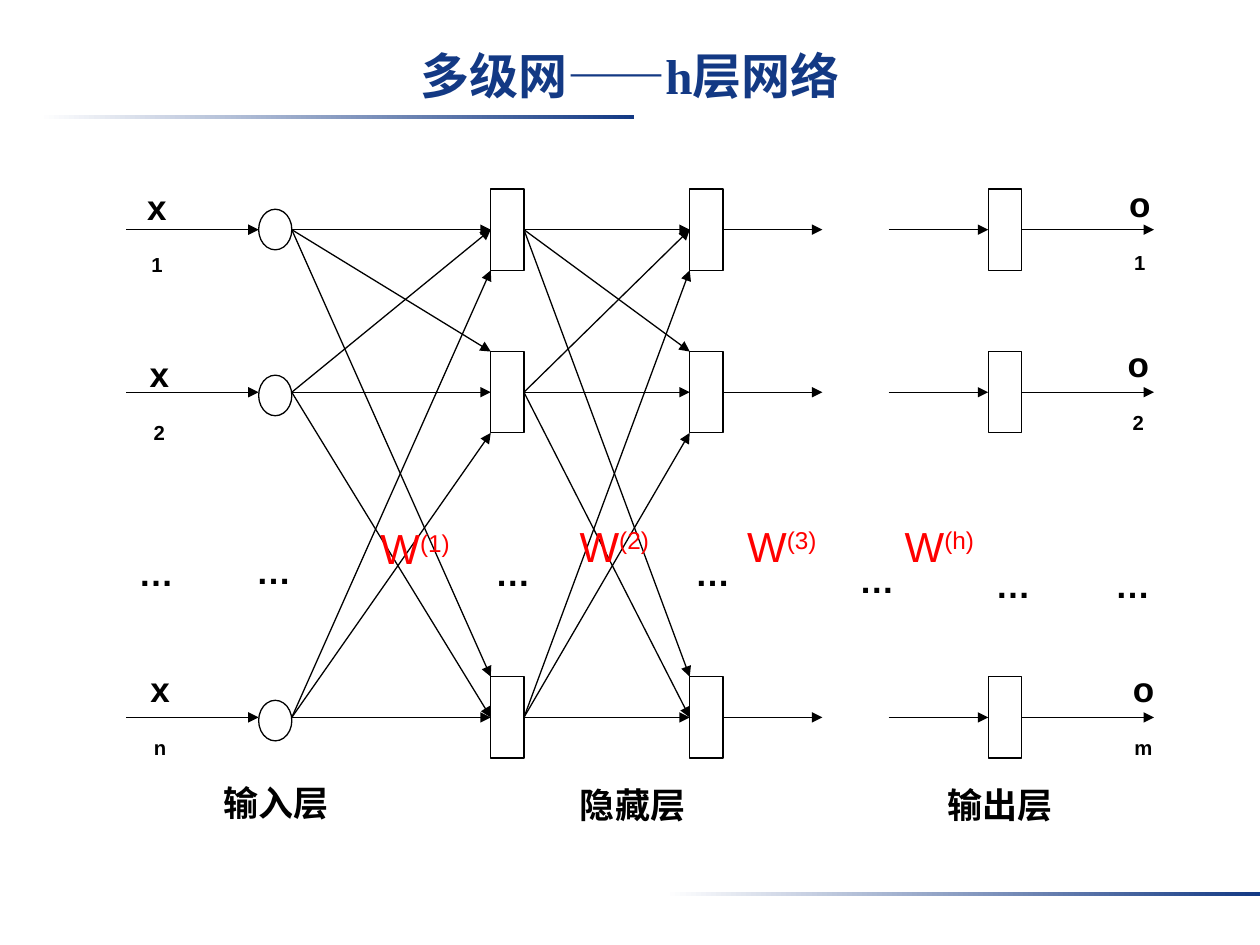
from dataclasses import dataclass
from typing import Optional

from lxml.etree import SubElement
from pptx import Presentation
from pptx.dml.color import RGBColor
from pptx.enum.shapes import MSO_CONNECTOR, MSO_SHAPE
from pptx.enum.text import MSO_ANCHOR, PP_ALIGN
from pptx.oxml.ns import qn
from pptx.util import Pt

NAVY = RGBColor(0x13, 0x39, 0x84)
WHITE = RGBColor(0xFF, 0xFF, 0xFF)
BLACK = RGBColor(0, 0, 0)
RED = RGBColor(0xFF, 0, 0)

# Diagram grid, in points
LEFT = 72
UNIT = 18.95
NODE_HEIGHT = 46.5
ROW_TOPS = [108 + 92.9 * step for step in (0, 1, 3)]
ROW_MIDS = [top + NODE_HEIGHT / 2 for top in ROW_TOPS]
LEFT_SIDE, RIGHT_SIDE = 1, 3


@dataclass(frozen=True)
class Label:
    text: str
    left: float
    top: float
    width: float
    script: str = ""


@dataclass(frozen=True)
class LabelStyle:
    size: float
    color: RGBColor
    bold: bool
    baseline: int
    height: float
    wrap: bool = False


LAYER_STYLE = LabelStyle(20, BLACK, True, 0, 31)
UNIT_STYLE = LabelStyle(20, BLACK, True, -30000, 31, wrap=True)
WEIGHT_STYLE = LabelStyle(24, RED, False, 30000, 29)

LAYERS = [
    Label("输入层", 120.2, 442.8, 75),
    Label("隐藏层", 324, 444.2, 75),
    Label("输出层", 534.2, 444.2, 75),
]
DOTS = [
    Label("…", left, top, 34.6)
    for left, top in [(72, 311.8), (139, 310.5), (275.8, 311.8), (390, 311.8),
                      (483.8, 315.4), (561.6, 318.2), (630, 318.2)]
]
UNITS = [
    Label("x", 74.2, 102.2, 31, "1"),
    Label("x", 75.6, 198, 31, "2"),
    Label("x", 75.6, 378, 31.7, "n"),
    Label("o", 635.8, 100.8, 31, "1"),
    Label("o", 635, 192.2, 31, "2"),
    Label("o", 635.8, 378, 35.3, "m"),
]
WEIGHTS = [
    Label("W", left, top, 54, f"({layer})")
    for layer, left, top in [("1", 210.2, 295.2), ("2", 324, 293.8),
                             ("3", 419.8, 293.8), ("h", 509.8, 293.8)]
]


def grid_x(column: int) -> float:
    return LEFT + column * UNIT


def add_title(slide, text: str) -> None:
    title = slide.shapes.title
    title.left, title.top, title.width, title.height = Pt(36), Pt(21.6), Pt(648), Pt(62.6)
    frame = title.text_frame
    frame.text = text
    frame.vertical_anchor = MSO_ANCHOR.TOP
    frame.margin_top = Pt(4.3)
    paragraph = frame.paragraphs[0]
    paragraph.alignment = PP_ALIGN.CENTER
    font = paragraph.runs[0].font
    font.name, font.size, font.bold = "Times New Roman", Pt(28), True
    font.color.rgb = NAVY


def add_fading_bar(slide, left: float, top: float) -> None:
    bar = slide.shapes.add_shape(MSO_SHAPE.RECTANGLE, Pt(left), Pt(top), Pt(339.8), Pt(2.2))
    bar.shadow.inherit = False
    bar.line.fill.background()
    bar.fill.gradient()
    bar.fill.gradient_angle = 0
    for stop, color in zip(bar.fill.gradient_stops, (WHITE, NAVY)):
        stop.color.rgb = color


def add_label(slide, label: Label, style: LabelStyle) -> None:
    box = slide.shapes.add_textbox(Pt(label.left), Pt(label.top), Pt(label.width), Pt(style.height))
    frame = box.text_frame
    frame.word_wrap = style.wrap
    paragraph = frame.paragraphs[0]
    paragraph.alignment = PP_ALIGN.CENTER
    paragraph.text = label.text
    if label.script:
        script = paragraph.add_run()
        script.text = label.script
        script.font._element.set("baseline", str(style.baseline))
    for run in paragraph.runs:
        run.font.name, run.font.size, run.font.bold = "Arial", Pt(style.size), style.bold
        run.font.color.rgb = style.color


def add_node(slide, kind: MSO_SHAPE, column: int, top: float, height: float):
    node = slide.shapes.add_shape(kind, Pt(grid_x(column)), Pt(top), Pt(UNIT), Pt(height))
    node.shadow.inherit = False
    node.fill.solid()
    node.fill.fore_color.rgb = WHITE
    node.line.color.rgb = BLACK
    node.line.width = Pt(0.75)
    return node


def add_arrow(slide, start: tuple[float, float], end: tuple[float, float],
              source: Optional[object] = None, target: Optional[object] = None) -> None:
    """Draw an arrow, joined to the side middles of source and target if given."""
    points = [Pt(value) for value in (*start, *end)]
    arrow = slide.shapes.add_connector(MSO_CONNECTOR.STRAIGHT, *points)
    arrow.line.color.rgb = BLACK
    arrow.line.width = Pt(0.75)
    SubElement(arrow.line._get_or_add_ln(), qn("a:tailEnd"), type="triangle")
    SubElement(arrow._element.spPr, qn("a:effectLst"))
    if source is not None:
        arrow.begin_connect(source, RIGHT_SIDE)
    if target is not None:
        arrow.end_connect(target, LEFT_SIDE)


def add_layer(slide, column: int) -> list:
    return [add_node(slide, MSO_SHAPE.RECTANGLE, column, top, NODE_HEIGHT) for top in ROW_TOPS]


def add_parallel_arrows(slide, start: int, end: int, sources=(None,) * 3, targets=(None,) * 3) -> None:
    for y, source, target in zip(ROW_MIDS, sources, targets):
        add_arrow(slide, (grid_x(start), y), (grid_x(end), y), source, target)


def add_full_links(slide, start: int, end: int, targets: list, sources=(None,) * 3) -> None:
    """Link every row to every other; top and bottom rows aim at the nearer corner."""
    add_parallel_arrows(slide, start, end, sources, targets)
    for i, source in enumerate(sources):
        for j, target in enumerate(targets):
            if i == j:
                continue
            aim = (ROW_TOPS[j], ROW_MIDS[j], ROW_TOPS[j] + NODE_HEIGHT)[i]
            add_arrow(slide, (grid_x(start), ROW_MIDS[i]), (grid_x(end), aim),
                      source, target if i == 1 else None)


def main() -> None:
    deck = Presentation()
    deck.slide_width, deck.slide_height = Pt(720), Pt(540)
    slide = deck.slides.add_slide(deck.slide_layouts[5])

    add_fading_bar(slide, 22.3, 65.7)
    add_fading_bar(slide, 380.2, 509.8)
    add_title(slide, "多级网——h层网络")

    for top, offset in zip(ROW_TOPS, (11.6, 13.5, 13.5)):
        add_node(slide, MSO_SHAPE.OVAL, 4, top + offset, 23.2)
    first_hidden, second_hidden, output = (add_layer(slide, column) for column in (11, 17, 26))

    add_parallel_arrows(slide, 0, 4)
    add_full_links(slide, 5, 11, first_hidden)
    add_full_links(slide, 12, 17, second_hidden, first_hidden)
    add_parallel_arrows(slide, 18, 21, sources=second_hidden)
    add_parallel_arrows(slide, 23, 26, targets=output)
    add_parallel_arrows(slide, 27, 31, sources=output)

    for labels, style in ((LAYERS + DOTS, LAYER_STYLE), (UNITS, UNIT_STYLE), (WEIGHTS, WEIGHT_STYLE)):
        for label in labels:
            add_label(slide, label, style)

    deck.save("out.pptx")


if __name__ == "__main__":
    main()
